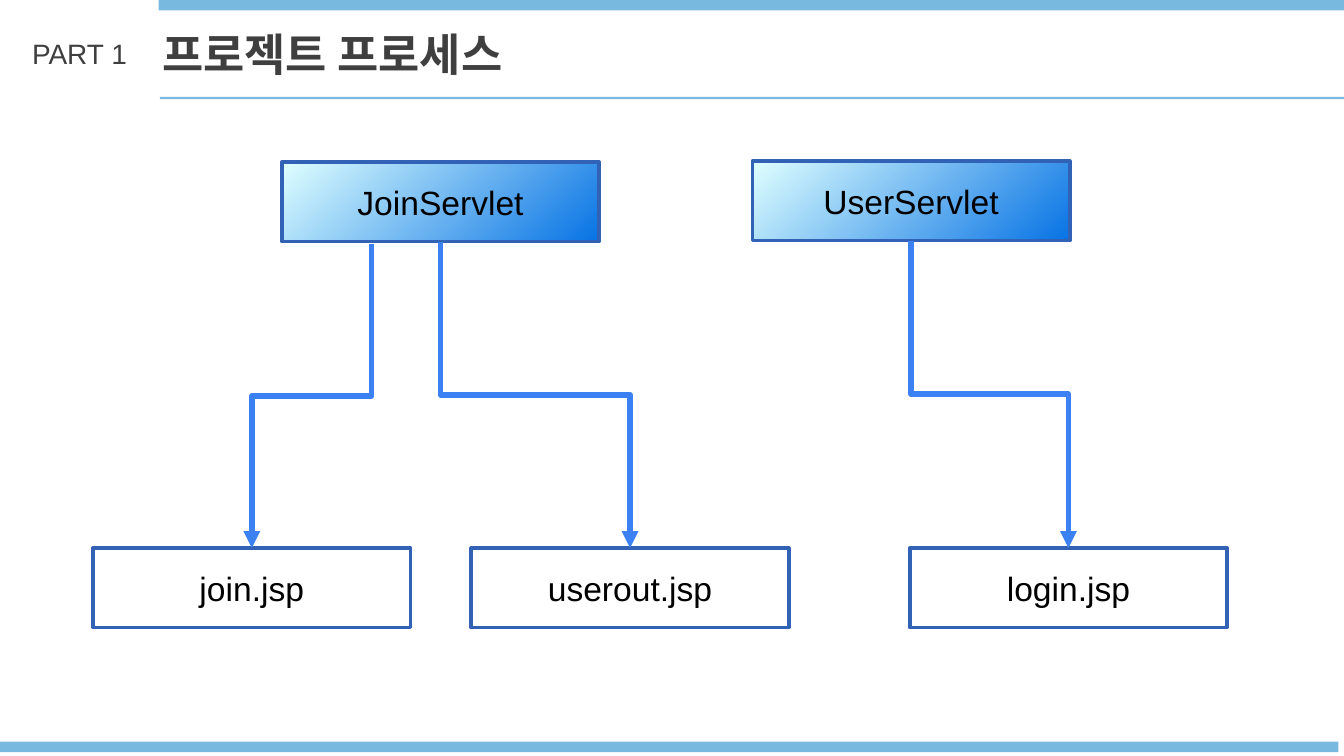
from lxml.etree import SubElement
from pptx import Presentation
from pptx.dml.color import RGBColor
from pptx.enum.shapes import MSO_CONNECTOR, MSO_SHAPE
from pptx.enum.text import MSO_ANCHOR, MSO_AUTO_SIZE, PP_ALIGN
from pptx.oxml.ns import qn
from pptx.util import Pt

# Content: lengths in points
BARS = [(85, 0, 635, 5.6), (-2.9, 397.4, 720, 5.6), (85.7, 51.9, 635, 1.3)]
HEADS = [("PART 1", 10.1, 16, 90, 25, 15, False),
         ("프로젝트 프로세스", 79.9, 10.8, 637, 36, 24, True)]
BOX_W, BOX_H = 170, 42.6
TOP, LOW = 86.3, 293.6
SERVLETS = [("JoinServlet", 151, TOP + 0.5), ("UserServlet", 403.1, TOP)]
PAGES = [("login.jsp", 487.4, LOW), ("userout.jsp", 252.5, LOW),
         ("join.jsp", 49.9, LOW)]
# Servlet, page, start offset from the servlet's bottom centre
LINKS = [("UserServlet", "login.jsp", 0, 0),
         ("JoinServlet", "userout.jsp", 0, 0),
         ("JoinServlet", "join.jsp", -36.9, 1.3)]
BAR, GREY, EDGE, ARROW = "78B9E0", "3F3F3F", "3162B5", "3C81F3"
GRADE, ANGLE = ("DFFFFF", "0773E4"), 48


def color(code):
    return RGBColor.from_string(code)


def write(frame, text, size, code, bold=False):
    run = frame.paragraphs[0].add_run()
    run.text = text
    font = run.font
    font.name, font.size, font.bold = "Arial", Pt(size), bold
    font.color.rgb = color(code)


def rect(x, y, w, h):
    shape = slide.shapes.add_shape(MSO_SHAPE.RECTANGLE, Pt(x), Pt(y), Pt(w), Pt(h))
    shape.shadow.inherit = False
    return shape


def box(name, x, y, shaded):
    shape = rect(x, y, BOX_W, BOX_H)
    if shaded:
        shape.fill.gradient()
        shape.fill.gradient_angle = 360 - ANGLE
        for stop, code in zip(shape.fill.gradient_stops, GRADE):
            stop.color.rgb = color(code)
    else:
        shape.fill.background()
    shape.line.color.rgb = color(EDGE)
    shape.line.width = Pt(2)
    frame = shape.text_frame
    frame.vertical_anchor = MSO_ANCHOR.MIDDLE
    frame.paragraphs[0].alignment = PP_ALIGN.CENTER
    write(frame, name, 18, "000000")


def link(x1, y1, x2, y2):
    # An elbow that leaves downwards is a sideways one turned a quarter
    mid_x, mid_y = (x1 + x2) / 2, (y1 + y2) / 2
    half_w, half_h = (y2 - y1) / 2, abs(x2 - x1) / 2
    line = slide.shapes.add_connector(
        MSO_CONNECTOR.ELBOW, Pt(mid_x - half_w), Pt(mid_y - half_h),
        Pt(mid_x + half_w), Pt(mid_y + half_h))
    props = line._element.spPr
    turn = props.find(qn("a:xfrm"))
    right = x2 > x1
    turn.set("rot", str((270 if right else 90) * 60000))
    if right:
        turn.set("flipH", "1")
    line.line.color.rgb = color(ARROW)
    line.line.width = Pt(3)
    SubElement(props.find(qn("a:ln")), qn("a:tailEnd"), type="triangle")
    SubElement(props, qn("a:effectLst"))


deck = Presentation()
deck.slide_width, deck.slide_height = Pt(720), Pt(405)
slide = deck.slides.add_slide(deck.slide_layouts[6])

# Bars and rule
for spot in BARS:
    bar = rect(*spot)
    bar.fill.solid()
    bar.fill.fore_color.rgb = color(BAR)
    bar.line.fill.background()

# Headings
for text, x, y, w, h, size, bold in HEADS:
    frame = slide.shapes.add_textbox(Pt(x), Pt(y), Pt(w), Pt(h)).text_frame
    frame.word_wrap = True
    frame.auto_size = MSO_AUTO_SIZE.SHAPE_TO_FIT_TEXT
    write(frame, text, size, GREY, bold)

# Servlets and pages
for group, shaded in ((SERVLETS, True), (PAGES, False)):
    for name, x, y in group:
        box(name, x, y, shaded)

# Arrows
spots = {name: (x + BOX_W / 2, y) for name, x, y in SERVLETS + PAGES}
for start, end, dx, dy in LINKS:
    x, y = spots[start]
    link(x + dx, y + BOX_H + dy, *spots[end])

deck.save("out.pptx")
